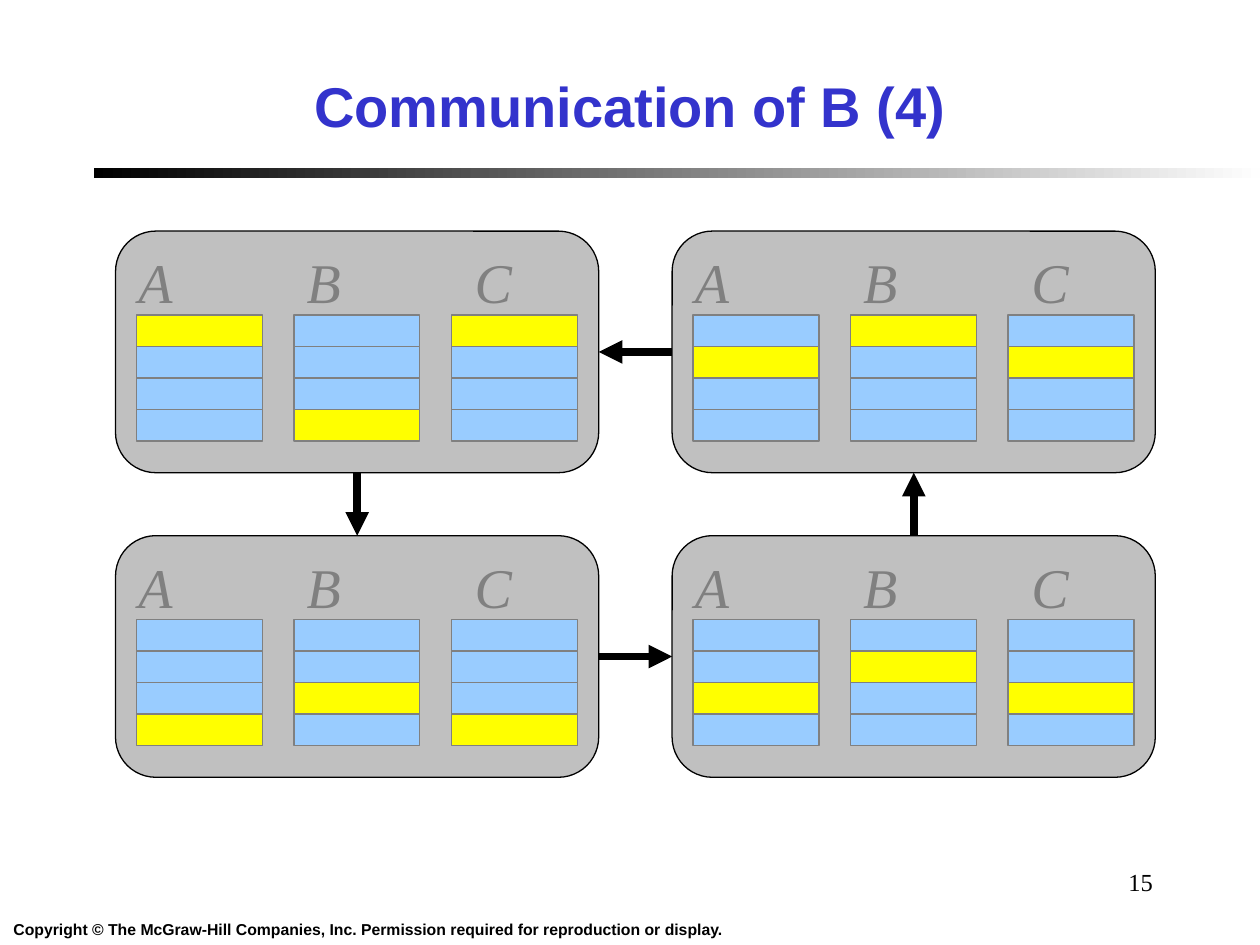
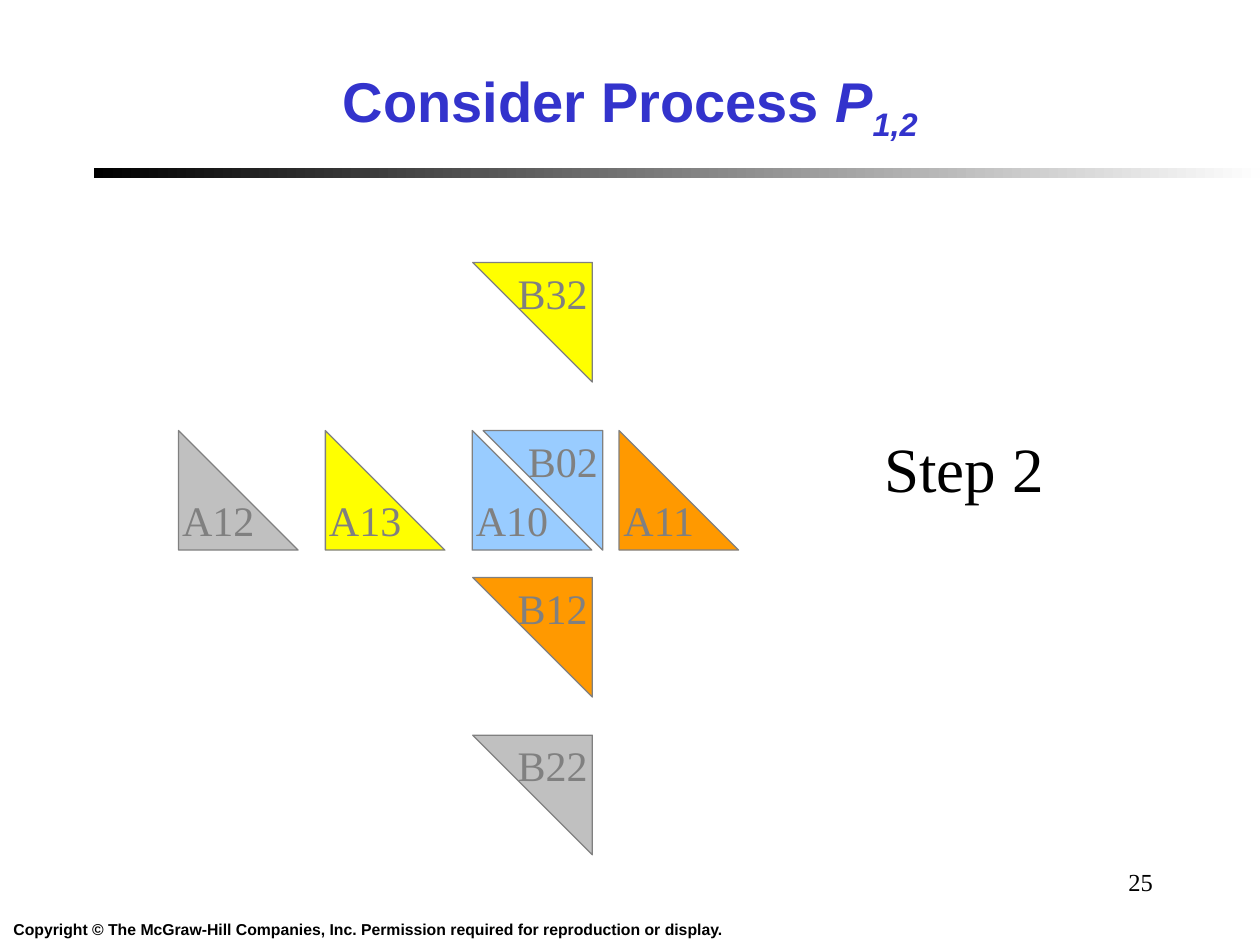
from lxml import etree
from pptx import Presentation
from pptx.dml.color import RGBColor
from pptx.enum.shapes import MSO_CONNECTOR, MSO_SHAPE
from pptx.enum.text import MSO_ANCHOR, PP_ALIGN
from pptx.oxml.ns import qn
from pptx.util import Cm, Pt

RECT = MSO_SHAPE.RECTANGLE
ROUNDED = MSO_SHAPE.ROUNDED_RECTANGLE
TRIANGLE = MSO_SHAPE.RIGHT_TRIANGLE
STRAIGHT = MSO_CONNECTOR.STRAIGHT
LEFT, CENTER, RIGHT = PP_ALIGN.LEFT, PP_ALIGN.CENTER, PP_ALIGN.RIGHT
TOP, MIDDLE = MSO_ANCHOR.TOP, MSO_ANCHOR.MIDDLE
SIDE_TOP, SIDE_LEFT, SIDE_BOTTOM, SIDE_RIGHT = range(4)

BLACK = RGBColor(0x00, 0x00, 0x00)
OFF_WHITE = RGBColor(0xFE, 0xFE, 0xFE)
TITLE_BLUE = RGBColor(0x33, 0x33, 0xCC)
SILVER = RGBColor(0xC0, 0xC0, 0xC0)
GRAY = RGBColor(0x80, 0x80, 0x80)
YELLOW = RGBColor(0xFF, 0xFF, 0x00)
SKY = RGBColor(0x99, 0xCC, 0xFF)
ORANGE = RGBColor(0xFF, 0x99, 0x00)

SANS, SERIF = "Arial", "Times New Roman"
COPYRIGHT = ("Copyright © The McGraw-Hill Companies, Inc. "
             "Permission required for reproduction or display.")

# Lengths in centimetres
PANEL_X, PANEL_Y = 2.33, 4.66
PANEL_W, PANEL_H = 9.74, 4.87
PANEL_STEP_X, PANEL_STEP_Y = 11.22, 6.14
CELL_W = 2.54
CELL_H = CELL_W / 4
COLUMN_STEP = CELL_W * 1.25
LETTER_STEP = 3.39
TRIANGLE_SIZE = 2.41
A_ROW_X, A_ROW_Y, A_STEP = 3.6, 8.68, 2.96
B_COLUMN_X = 9.53


def write(tf, text, size=24, font=SERIF, color=BLACK, bold=False, italic=False,
          align=LEFT, baseline=None):
    """Add a run to the first paragraph; baseline is a shift in percent."""
    p = tf.paragraphs[0]
    p.alignment = align
    r = p.add_run()
    r.text = text
    r.font.size, r.font.name = Pt(size), font
    r.font.bold, r.font.italic = bold, italic
    r.font.color.rgb = color
    if baseline is not None:
        r.font._element.set("baseline", str(baseline * 1000))


def add_frame(slide, x, y, w, h, wrap=False, anchor=TOP):
    """Add an empty text box and return its text frame."""
    tf = slide.shapes.add_textbox(Cm(x), Cm(y), Cm(w), Cm(h)).text_frame
    tf.word_wrap = wrap
    tf.vertical_anchor = anchor
    return tf


def add_filled(slide, kind, x, y, w, h, fill, line=GRAY):
    sp = slide.shapes.add_shape(kind, Cm(x), Cm(y), Cm(w), Cm(h))
    sp.shadow.inherit = False
    sp.fill.solid()
    sp.fill.fore_color.rgb = fill
    sp.line.color.rgb = line
    sp.line.width = Pt(0.75)
    return sp


def add_title_band(slide):
    sp = slide.shapes.add_shape(RECT, Cm(1.9), Cm(3.39), Cm(23.5), Cm(0.2))
    sp.shadow.inherit = False
    sp.line.fill.background()
    sp.fill.gradient()
    sp.fill.gradient_angle = 0
    for stop, position, color in zip(sp.fill.gradient_stops, (0, 1), (BLACK, OFF_WHITE)):
        stop.position = position
        stop.color.rgb = color


def add_base_slide(prs, title_runs, number):
    """Add a slide with band, copyright line, title and slide number."""
    slide = prs.slides.add_slide(prs.slide_layouts[6])
    add_title_band(slide)
    write(add_frame(slide, 0, 18.42, 14.83, 0.63), COPYRIGHT, size=9, font=SANS,
          bold=True, align=CENTER)
    title = add_frame(slide, 0.64, 0.85, 24.13, 2.54, wrap=True, anchor=MIDDLE)
    for text, style in title_runs:
        write(title, text, size=32, font=SANS, color=TITLE_BLUE, bold=True,
              align=CENTER, **style)
    write(add_frame(slide, 18.2, 17.36, 5.29, 1.27, wrap=True), str(number),
          size=14, align=RIGHT)
    return slide


def add_process(slide, column, row, held_blocks):
    """Add a process panel; held_blocks gives the yellow row of A, B and C."""
    x = PANEL_X + column * PANEL_STEP_X
    y = PANEL_Y + row * PANEL_STEP_Y
    panel = add_filled(slide, ROUNDED, x, y, PANEL_W, PANEL_H, SILVER, BLACK)
    for i, (letter, held) in enumerate(zip("ABC", held_blocks)):
        for block in range(4):
            add_filled(slide, RECT, x + 0.42 + i * COLUMN_STEP,
                       y + 1.69 + block * CELL_H, CELL_W, CELL_H,
                       YELLOW if block == held else SKY)
        write(add_frame(slide, x + 0.21 + i * LETTER_STEP, y + 0.21, 1.2, 1.63),
              letter, size=32, color=GRAY, italic=True)
    return panel


def add_arrow(slide, source, source_side, target, target_side):
    cxn = slide.shapes.add_connector(STRAIGHT, 0, 0, 0, 0)
    cxn.begin_connect(source, source_side)
    cxn.end_connect(target, target_side)
    cxn.line.color.rgb = BLACK
    cxn.line.width = Pt(4.5)
    etree.SubElement(cxn.line._get_or_add_ln(), qn("a:tailEnd"), type="triangle")
    etree.SubElement(cxn._element.spPr, qn("a:effectLst"))


def add_block_triangle(slide, label, x, y, fill, turned=False):
    """Add a labelled triangle; a turned one keeps its label upright."""
    sp = add_filled(slide, TRIANGLE, x, y, TRIANGLE_SIZE, TRIANGLE_SIZE, fill)
    tf = sp.text_frame
    tf.word_wrap = False
    tf.vertical_anchor = MIDDLE
    write(tf, label, color=GRAY, align=CENTER)
    if turned:
        sp.rotation = 180
        tf._txBody.bodyPr.set("rot", str(180 * 60000))


def build_communication(prs):
    slide = add_base_slide(prs, [("Communication of B (4)", {})], 15)
    top_left = add_process(slide, 0, 0, (0, 3, 0))
    top_right = add_process(slide, 1, 0, (1, 0, 1))
    bottom_left = add_process(slide, 0, 1, (3, 2, 3))
    bottom_right = add_process(slide, 1, 1, (2, 1, 2))
    add_arrow(slide, top_left, SIDE_BOTTOM, bottom_left, SIDE_TOP)
    add_arrow(slide, bottom_left, SIDE_RIGHT, bottom_right, SIDE_LEFT)
    add_arrow(slide, bottom_right, SIDE_TOP, top_right, SIDE_BOTTOM)
    add_arrow(slide, top_right, SIDE_LEFT, top_left, SIDE_RIGHT)


def build_process_step(prs):
    title = [("Consider Process ", {}), ("P", {"italic": True}),
             ("1,2", {"italic": True, "baseline": -25})]
    slide = add_base_slide(prs, title, 25)
    a_blocks = [("A12", SILVER), ("A13", YELLOW), ("A10", SKY), ("A11", ORANGE)]
    for i, (label, fill) in enumerate(a_blocks):
        add_block_triangle(slide, label, A_ROW_X + i * A_STEP, A_ROW_Y, fill)
    b_blocks = [("B32", B_COLUMN_X, 5.29, YELLOW),
                ("B02", B_COLUMN_X + 0.21, A_ROW_Y, SKY),
                ("B12", B_COLUMN_X, 11.64, ORANGE),
                ("B22", B_COLUMN_X, 14.82, SILVER)]
    for label, x, y, fill in b_blocks:
        add_block_triangle(slide, label, x, y, fill, turned=True)
    write(add_frame(slide, 17.58, 8.53, 3.71, 1.78), "Step 2", size=36)


def main():
    prs = Presentation()
    prs.slide_width, prs.slide_height = Cm(25.4), Cm(19.05)
    build_communication(prs)
    build_process_step(prs)
    prs.save("out.pptx")


if __name__ == "__main__":
    main()
